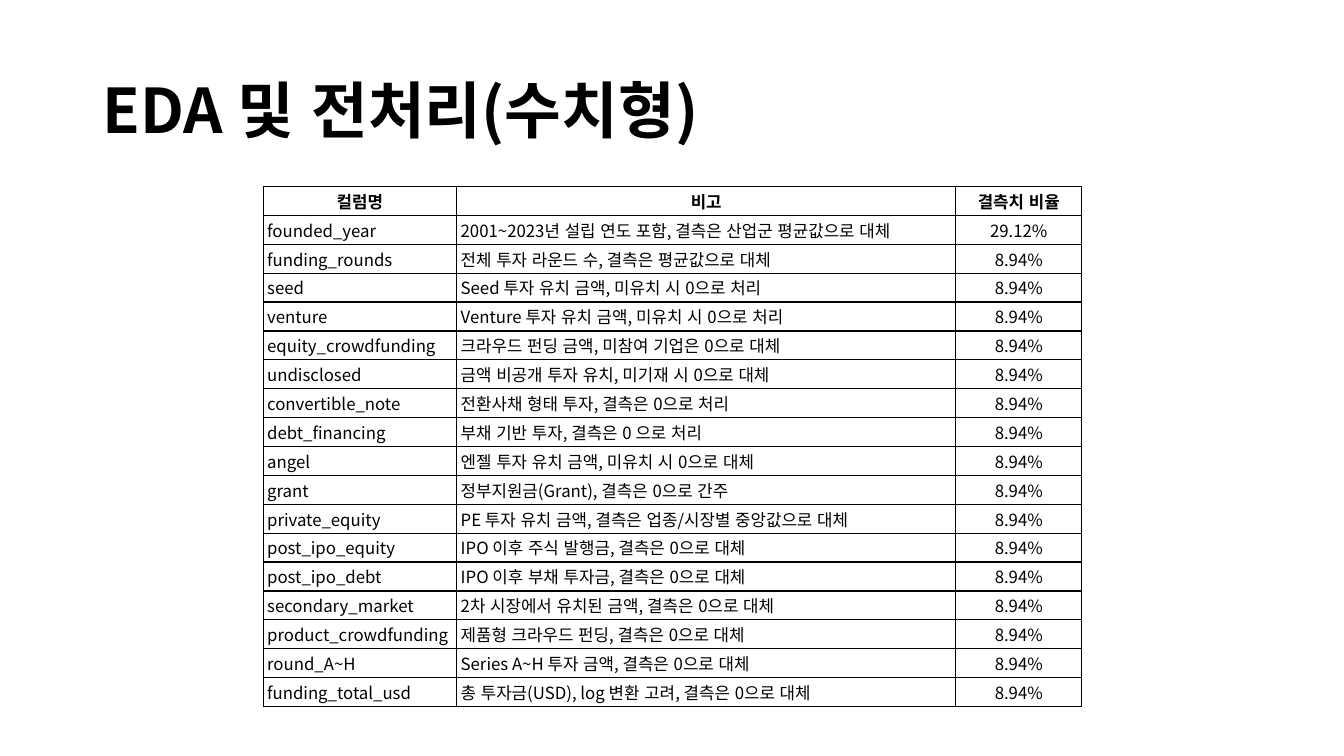
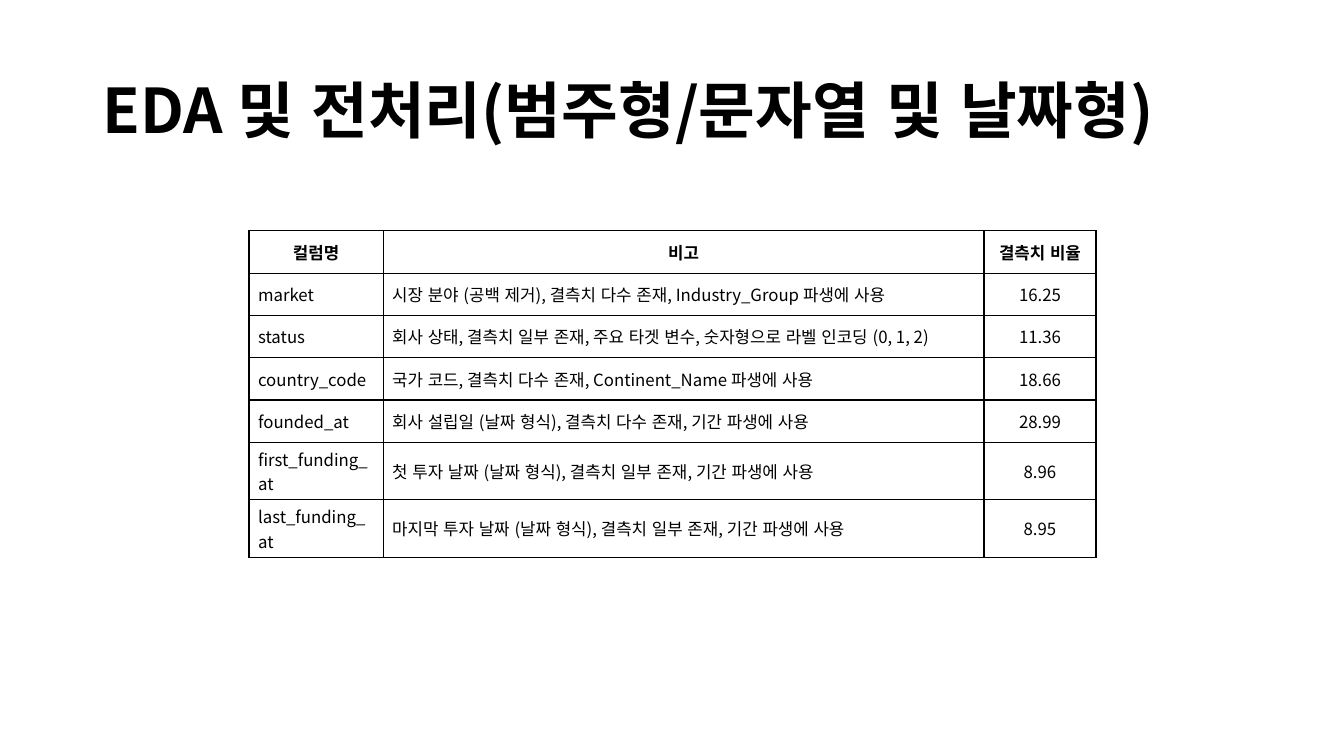
from lxml.etree import SubElement
from pptx import Presentation
from pptx.dml.color import RGBColor
from pptx.enum.lang import MSO_LANGUAGE_ID as Language
from pptx.enum.text import MSO_ANCHOR as Anchor, PP_ALIGN as Align
from pptx.oxml.ns import qn
from pptx.util import Inches, Pt

COLORS = {"text": "000000", "border": "000000", "background": "FFFFFF"}
HEADER = ("컬럼명", "비고", "결측치 비율")
COMMON_RATE = "8.94%"

NUMERIC_NOTES = [
    ("founded_year", "2001~2023년 설립 연도 포함, 결측은 산업군 평균값으로 대체", "29.12%"),
    *((column, note, COMMON_RATE) for column, note in [
        ("funding_rounds", "전체 투자 라운드 수, 결측은 평균값으로 대체"),
        ("seed", "Seed 투자 유치 금액, 미유치 시 0으로 처리"),
        ("venture", "Venture 투자 유치 금액, 미유치 시 0으로 처리"),
        ("equity_crowdfunding", "크라우드 펀딩 금액, 미참여 기업은 0으로 대체"),
        ("undisclosed", "금액 비공개 투자 유치, 미기재 시 0으로 대체"),
        ("convertible_note", "전환사채 형태 투자, 결측은 0으로 처리"),
        ("debt_financing", "부채 기반 투자, 결측은 0 으로 처리"),
        ("angel", "엔젤 투자 유치 금액, 미유치 시 0으로 대체"),
        ("grant", "정부지원금(Grant), 결측은 0으로 간주"),
        ("private_equity", "PE 투자 유치 금액, 결측은 업종/시장별 중앙값으로 대체"),
        ("post_ipo_equity", "IPO 이후 주식 발행금, 결측은 0으로 대체"),
        ("post_ipo_debt", "IPO 이후 부채 투자금, 결측은 0으로 대체"),
        ("secondary_market", "2차 시장에서 유치된 금액, 결측은 0으로 대체"),
        ("product_crowdfunding", "제품형 크라우드 펀딩, 결측은 0으로 대체"),
        ("round_A~H", "Series A~H 투자 금액, 결측은 0으로 대체"),
        ("funding_total_usd", "총 투자금(USD), log 변환 고려, 결측은 0으로 대체"),
    ]),
]

CATEGORY_NOTES = [
    ("market", "시장 분야 (공백 제거), 결측치 다수 존재, Industry_Group 파생에 사용", "16.25"),
    ("status", "회사 상태, 결측치 일부 존재, 주요 타겟 변수, 숫자형으로 라벨 인코딩 (0, 1, 2)", "11.36"),
    ("country_code", "국가 코드, 결측치 다수 존재, Continent_Name 파생에 사용", "18.66"),
    ("founded_at", "회사 설립일 (날짜 형식), 결측치 다수 존재, 기간 파생에 사용", "28.99"),
    ("first_funding_at", "첫 투자 날짜 (날짜 형식), 결측치 일부 존재, 기간 파생에 사용", "8.96"),
    ("last_funding_at", "마지막 투자 날짜 (날짜 형식), 결측치 일부 존재, 기간 파생에 사용", "8.95"),
]


class Deck:
    """Holds the shared style and the slide being filled."""

    font = "Noto Sans CJK KR"
    title_size = 44
    table_size = 12
    border_width = 1

    def __init__(self):
        self.prs = Presentation()
        self.prs.slide_width = Inches(13.33)
        self.prs.slide_height = Inches(7.5)
        self.slide = None

    def add_slide(self, title):
        self.slide = self.prs.slides.add_slide(self.prs.slide_layouts[6])
        background = self.slide.background.fill
        background.solid()
        background.fore_color.rgb = RGBColor.from_string(COLORS["background"])
        self.add_title(title)

    def add_run(self, paragraph, text, size, bold):
        run = paragraph.add_run()
        run.text = text
        run.font.size = Pt(size)
        run.font.bold = bold
        run.font.language_id = Language.KOREAN
        run.font.color.rgb = RGBColor.from_string(COLORS["text"])
        run.font.name = self.font
        SubElement(run.font._element, qn("a:ea"), typeface=self.font)

    def add_title(self, text):
        frame = self.slide.shapes.add_textbox(
            Inches(0.92), Inches(0.4), Inches(11.3), Inches(1.45)).text_frame
        frame.word_wrap = True
        frame.vertical_anchor = Anchor.MIDDLE
        paragraph = frame.paragraphs[0]
        paragraph.line_spacing = 0.9
        self.add_run(paragraph, text, self.title_size, True)

    def add_table(self, notes, left, top, widths, heights, margins):
        """Draw the header and notes; margins are (side, top and bottom)."""
        rows = [HEADER, *notes]
        table = self.slide.shapes.add_table(
            len(rows), len(widths), Inches(left), Inches(top),
            Inches(sum(widths)), Inches(sum(heights))).table
        table.horz_banding = False
        table.first_row = False
        for column, width in zip(table.columns, widths):
            column.width = Inches(width)
        for r, (values, height) in enumerate(zip(rows, heights)):
            table.rows[r].height = Inches(height)
            for c, text in enumerate(values):
                is_header = r == 0
                centered = is_header or c == len(widths) - 1
                self.fill_cell(table.cell(r, c), text, is_header, centered, margins)

    def fill_cell(self, cell, text, bold, centered, margins):
        cell.margin_left = cell.margin_right = Inches(margins[0])
        cell.margin_top = cell.margin_bottom = Inches(margins[1])
        cell.vertical_anchor = Anchor.MIDDLE
        self.add_borders(cell)
        cell.fill.background()
        paragraph = cell.text_frame.paragraphs[0]
        paragraph.alignment = Align.CENTER if centered else Align.LEFT
        self.add_run(paragraph, text, self.table_size, bold)

    def add_borders(self, cell):
        properties = cell._tc.get_or_add_tcPr()
        for side in ("lnL", "lnR", "lnT", "lnB"):
            line = SubElement(properties, qn(f"a:{side}"), w=str(Pt(self.border_width)))
            fill = SubElement(line, qn("a:solidFill"))
            SubElement(fill, qn("a:srgbClr"), val=COLORS["border"])


def main():
    deck = Deck()
    deck.add_slide("EDA 및 전처리(수치형)")
    numeric_rows = len(NUMERIC_NOTES) + 1
    deck.add_table(NUMERIC_NOTES, left=2.61, top=1.85, widths=(1.92, 4.95, 1.25),
                   heights=[5.16 / numeric_rows] * numeric_rows, margins=(0.04, 0.02))
    deck.add_slide("EDA 및 전처리(범주형/문자열 및 날짜형)")
    one_line, two_lines = 0.42, 0.57
    deck.add_table(CATEGORY_NOTES, left=2.47, top=2.29, widths=(1.33, 5.96, 1.11),
                   heights=[one_line] * 5 + [two_lines] * 2, margins=(0.09, 0.04))
    deck.prs.save("out.pptx")


if __name__ == "__main__":
    main()
